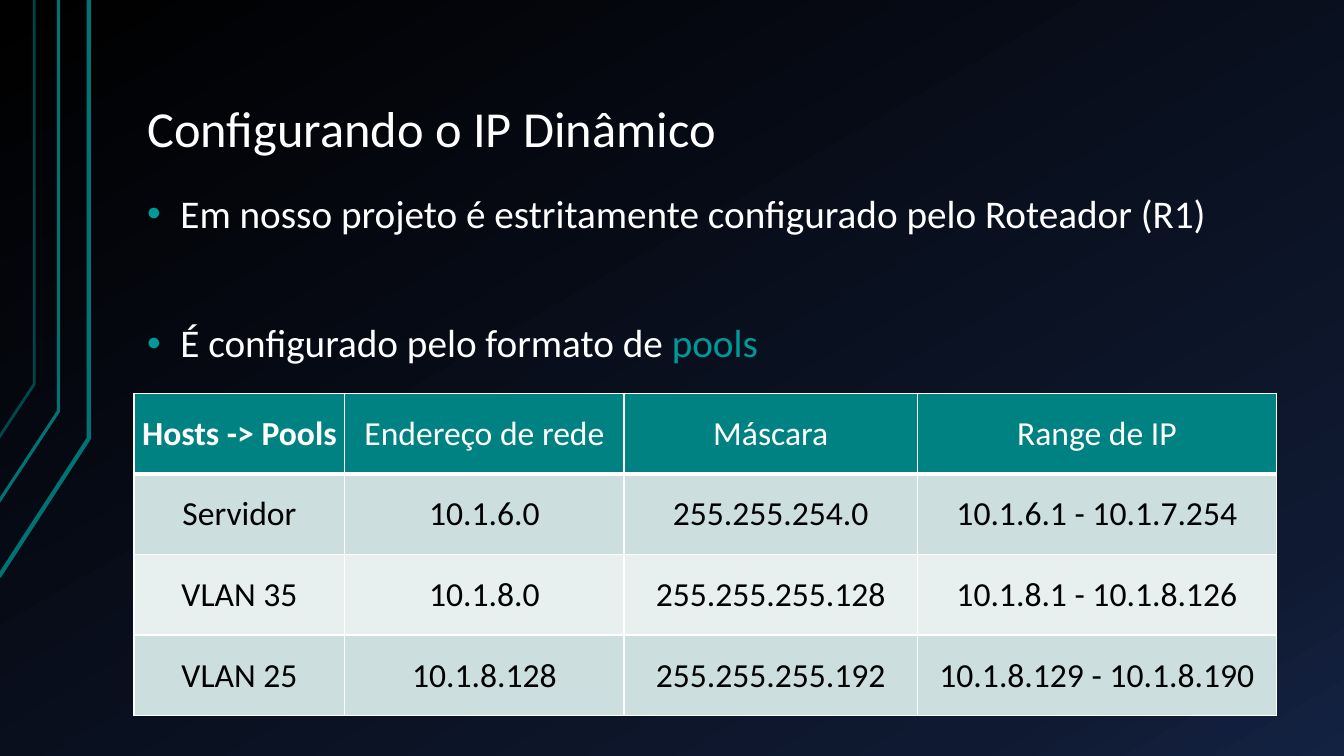
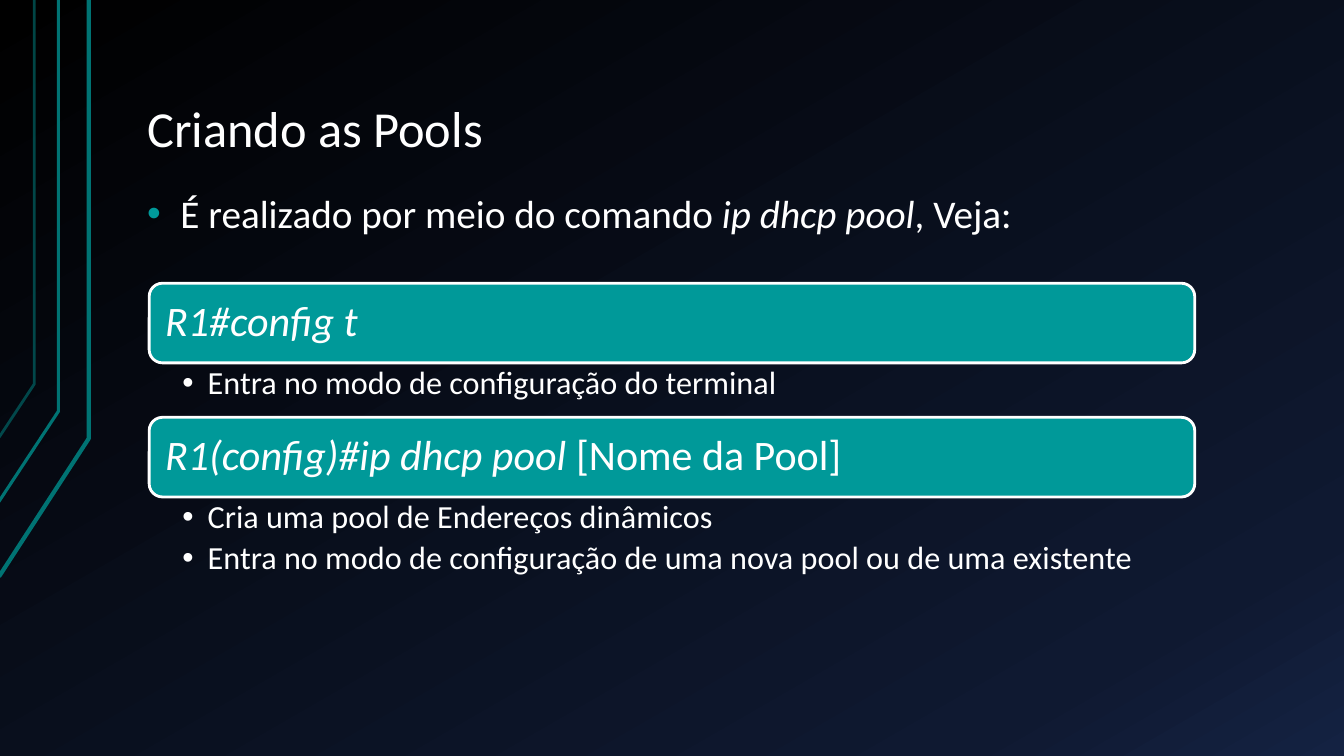
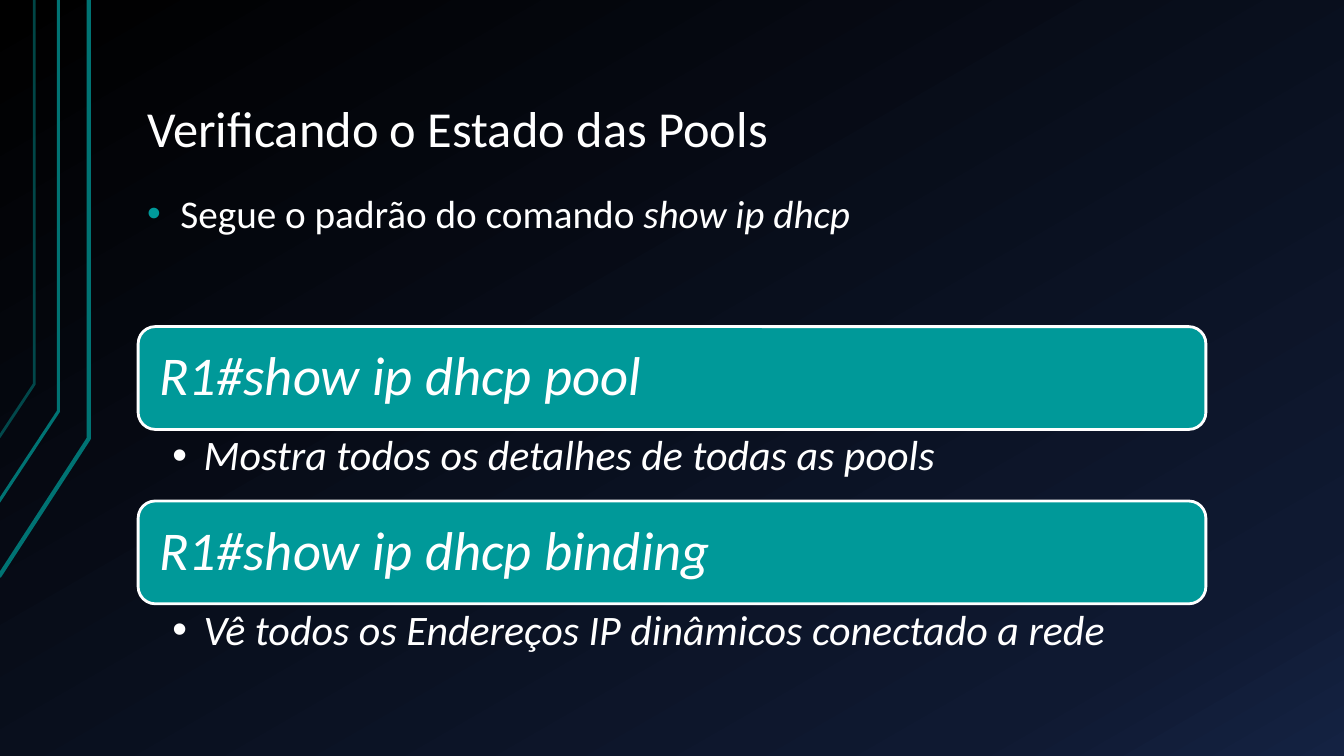
import copy

import pptx
import pptx.dml.color
import pptx.enum.shapes
import pptx.enum.text
import pptx.oxml
import pptx.oxml.ns
import pptx.util

PX = 9144  # EMU, 100 px to the inch
FONT = "Calibri"
COLORS = {
    "white": "FFFFFF", "black": "000000", "teal": "009999", "rail": "007373",
    "header": "008282", "odd_row": "CCDEDE", "even_row": "E7EFEF",
}
BACKDROP = [(0, "000000"), (0.85, "0F1931"), (1, "142242")]
# points, line width in pt, opacity in percent
RAILS = [
    ([(-1, 572), (88, 435), (88, 0)], 3, 100),
    ([(-2, 499), (58, 408), (58, 0)], 2.25, 100),
    ([(-1, 434), (34, 381), (34, 0)], 2, 60),
]
ANCHOR = pptx.enum.text.MSO_ANCHOR
qn = pptx.oxml.ns.qn
ITALIC = {"italic": True}


def px(*lengths):
    return [length * PX for length in lengths]


def rgb(name):
    return pptx.dml.color.RGBColor.from_string(COLORS[name])


def add_xml(parent, markup, index=None):
    """Insert one a: element given as markup, last unless an index is given."""
    tag, rest = markup.split(" ", 1)
    node = pptx.oxml.parse_xml(f"<a:{tag} {pptx.oxml.ns.nsdecls('a')} {rest}")
    parent.insert(len(parent) if index is None else index, node)


class Deck:
    def __init__(self):
        self.prs = pptx.Presentation()
        self.prs.slide_width, self.prs.slide_height = px(1333, 750)
        self.slide = None
        self.paint_backdrop()

    def paint_backdrop(self):
        master = self.prs.slide_master
        fill = master.background.fill
        fill.gradient()
        fill.gradient_angle = 300
        stops = master.element.find(".//" + qn("a:gsLst"))
        stops.append(copy.deepcopy(stops[-1]))
        for stop, (position, color) in zip(fill.gradient_stops, BACKDROP):
            stop.position = position
            stop.color.rgb = pptx.dml.color.RGBColor.from_string(color)

    def new_slide(self, title):
        self.slide = self.prs.slides.add_slide(self.prs.slide_layouts[6])
        for points, width, opacity in RAILS:
            self.rail(points, width, opacity)
        frame = self.text_box(133, 30, 1133, 134, (13, 7, 13, 7), ANCHOR.BOTTOM)
        self.add_runs(frame.paragraphs[0], [(title, {})], 36)

    def rail(self, points, width, opacity):
        builder = self.slide.shapes.build_freeform(*points[0], scale=PX)
        builder.add_line_segments(points[1:], close=False)
        rail = builder.convert_to_shape()
        rail.shadow.inherit = False
        rail.fill.background()
        rail.line.color.rgb = rgb("rail")
        rail.line.width = pptx.util.Pt(width)
        if opacity < 100:
            color = rail.element.spPr.find(".//" + qn("a:srgbClr"))
            add_xml(color, f'alpha val="{opacity * 1000}"/>')

    def set_frame(self, frame, insets, anchor):
        frame.word_wrap = True
        frame.vertical_anchor = anchor
        (frame.margin_left, frame.margin_top,
         frame.margin_right, frame.margin_bottom) = px(*insets)
        return frame

    def text_box(self, left, top, width, height, insets, anchor=ANCHOR.TOP):
        box = self.slide.shapes.add_textbox(*px(left, top, width, height))
        return self.set_frame(box.text_frame, insets, anchor)

    def add_runs(self, paragraph, runs, size, color="white", spacing=0.9):
        paragraph.line_spacing = spacing
        for text, style in runs:
            run = paragraph.add_run()
            run.text = text
            run.font.name = FONT
            run.font.size = pptx.util.Pt(size)
            run.font.bold = style.get("bold", False)
            run.font.italic = style.get("italic", False)
            run.font.color.rgb = rgb(style.get("color", color))

    def bullets(self, frame, items, size, indent, gap, color):
        """Fill the frame with bulleted paragraphs, gap points between them."""
        for number, runs in enumerate(items):
            paragraph = frame.add_paragraph() if number else frame.paragraphs[0]
            self.add_runs(paragraph, runs, size)
            paragraph.space_before = pptx.util.Pt(gap if number else 0)
            props = paragraph._p.get_or_add_pPr()
            props.set("marL", str(indent * PX))
            props.set("indent", str(-indent * PX))
            add_xml(props, f'buClr ><a:srgbClr val="{COLORS[color]}"/></a:buClr>')
            add_xml(props, 'buFont typeface="Arial"/>')
            add_xml(props, 'buChar char="•"/>')

    def body(self, *items):
        frame = self.text_box(133, 186, 1133, 488, (13, 7, 13, 7))
        self.bullets(frame, items, 28, indent=33, gap=62, color="teal")

    def command_bar(self, left, top, width, height, runs, size, inset):
        bar = self.slide.shapes.add_shape(
            pptx.enum.shapes.MSO_SHAPE.ROUNDED_RECTANGLE,
            *px(left, top, width, height))
        bar.shadow.inherit = False
        bar.fill.solid()
        bar.fill.fore_color.rgb = rgb("teal")
        bar.line.color.rgb = rgb("white")
        bar.line.width = pptx.util.Pt(2)
        frame = self.set_frame(bar.text_frame, (inset,) * 4, ANCHOR.MIDDLE)
        frame.paragraphs[0].alignment = pptx.enum.text.PP_ALIGN.LEFT
        self.add_runs(frame.paragraphs[0], runs, size)

    def command_list(self, left, top, width, bar_height, commands, sizes,
                     bar_inset, detail_insets, indent):
        """Stack command bars; each command is (runs, details, details height)."""
        bar_size, detail_size = sizes
        for command, details, details_height in commands:
            self.command_bar(left, top, width, bar_height, command, bar_size,
                             bar_inset)
            top += bar_height
            frame = self.text_box(left, top, width, details_height, detail_insets)
            self.bullets(frame, details, detail_size, indent,
                         gap=round(detail_size * 0.2, 1), color="white")
            top += details_height

    def table(self, left, top, widths, row_height, rows):
        table = self.slide.shapes.add_table(
            len(rows), len(widths),
            *px(left, top, sum(widths), row_height * len(rows))).table
        for column, width in zip(table.columns, widths):
            column.width = width * PX
        for r, texts in enumerate(rows):
            table.rows[r].height = row_height * PX
            for c, text in enumerate(texts):
                self.cell(table.cell(r, c), r, text, bold=r == c == 0)

    def cell(self, cell, row, text, bold):
        fill = "header" if row == 0 else "odd_row" if row % 2 else "even_row"
        cell.fill.solid()
        cell.fill.fore_color.rgb = rgb(fill)
        cell.vertical_anchor = ANCHOR.MIDDLE
        cell.margin_left = cell.margin_top = cell.margin_right = PX
        cell.margin_bottom = 0
        paragraph = cell.text_frame.paragraphs[0]
        paragraph.alignment = pptx.enum.text.PP_ALIGN.CENTER
        self.add_runs(paragraph, [(text, {"bold": bold})], 24,
                      "black" if row else "white", spacing=1.0)
        props = cell._tc.get_or_add_tcPr()
        for index, side in enumerate("LRTB"):
            width = 3 if (row, side) in ((0, "B"), (1, "T")) else 1
            add_xml(props, f'ln{side} w="{width * 12700}"><a:solidFill><a:srgbClr '
                    f'val="{COLORS["white"]}"/></a:solidFill></a:ln{side}>', index)


def main():
    deck = Deck()

    deck.new_slide("Configurando o IP Dinâmico")
    deck.body(
        [("Em nosso projeto é estritamente configurado pelo Roteador (R1)", {})],
        [("É configurado pelo formato de ", {}), ("pools", {"color": "teal"})])
    deck.table(133, 390, [209, 277, 291, 356], 80, [
        ["Hosts -> Pools", "Endereço de rede", "Máscara", "Range de IP"],
        ["Servidor", "10.1.6.0", "255.255.254.0", "10.1.6.1 - 10.1.7.254"],
        ["VLAN 35", "10.1.8.0", "255.255.255.128", "10.1.8.1 - 10.1.8.126"],
        ["VLAN 25", "10.1.8.128", "255.255.255.192", "10.1.8.129 - 10.1.8.190"],
    ])

    deck.new_slide("Criando as Pools")
    deck.body([("É realizado por meio do comando ", {}),
               ("ip dhcp pool", ITALIC), (", Veja:", {})])
    deck.command_list(148, 281, 1037, 79, [
        ([("R1#config t", ITALIC)],
         [[("Entra no modo de configuração do terminal", {})]], 54),
        ([("R1(config)#ip dhcp pool ", ITALIC), ("[Nome da Pool]", {})],
         [[("Cria uma pool de Endereços dinâmicos", {})],
          [("Entra no modo de configuração de uma nova pool ou de uma existente",
            {})]], 87),
    ], sizes=(30, 23), bar_inset=12, detail_insets=(33, 4, 23, 4), indent=25)

    deck.new_slide("Verificando o Estado das Pools")
    deck.body([("Segue o padrão do comando ", {}), ("show ip dhcp", ITALIC)])
    deck.command_list(137, 324, 1059, 102, [
        ([("R1#show ip dhcp pool", ITALIC)],
         [[("Mostra todos os detalhes de todas as pools", ITALIC)]], 71),
        ([("R1#show ip dhcp binding", ITALIC)],
         [[("Vê todos os Endereços IP dinâmicos conectado a rede", ITALIC)]], 71),
    ], sizes=(39, 30), bar_inset=16, detail_insets=(34, 5, 30, 5), indent=31)

    deck.prs.save("out.pptx")


if __name__ == "__main__":
    main()
